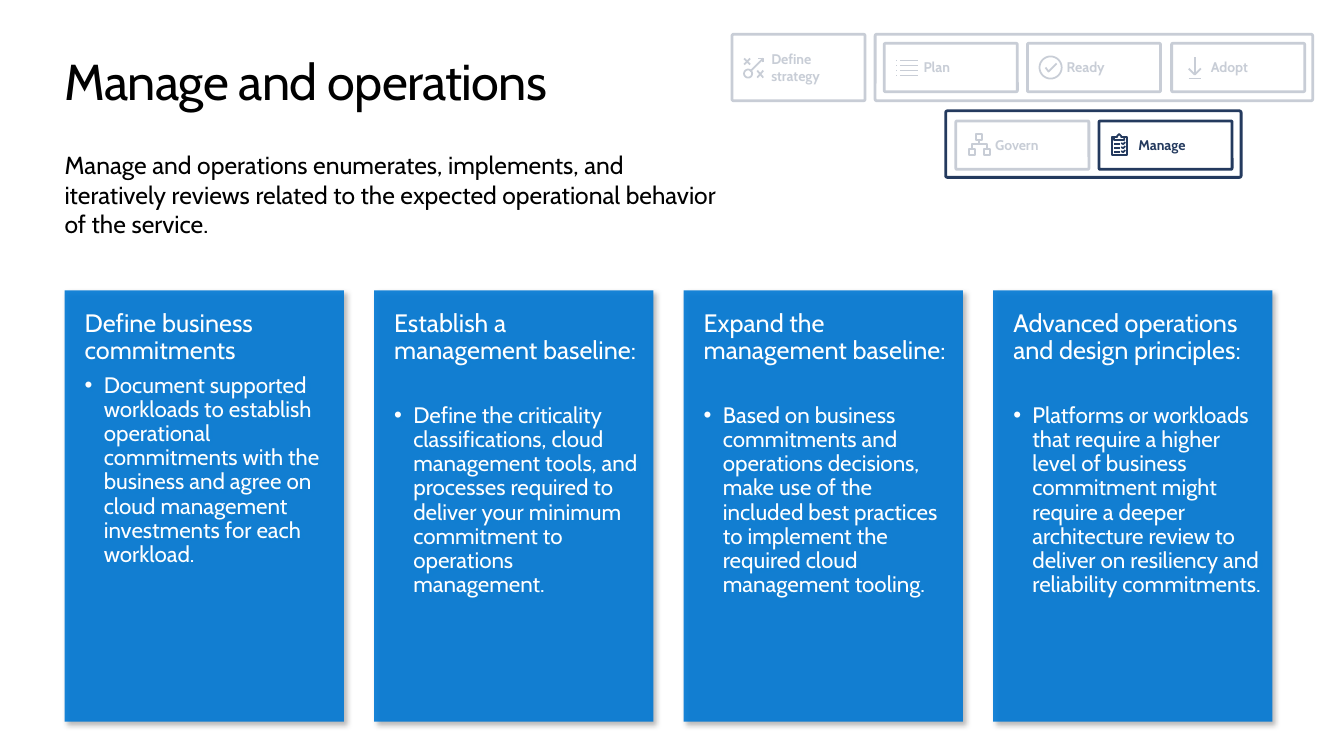
from dataclasses import dataclass
from math import cos, pi, sin
from lxml.etree import SubElement
from pptx import Presentation
from pptx.dml.color import RGBColor
from pptx.enum.shapes import MSO_SHAPE
from pptx.enum.text import MSO_ANCHOR
from pptx.oxml.ns import qn
from pptx.util import Pt

SCALE = 9144  # EMU in one px, 100 px to the inch
FACE = "Cabin"
COLORS = {"navy": "243A5E", "blue": "0078D4", "white": "FFFFFF", "black": "000000"}

Point = tuple[float, float]
Stroke = list[Point]


@dataclass
class Box:
    left: int
    top: int
    width: int
    height: int


@dataclass
class Card:
    title: str
    body: str
    gap: float  # points between title and body


@dataclass
class Step:
    label: str
    box: Box
    icon: list[Stroke]
    lines: int = 1


def px(value: float) -> int:
    return round(value * SCALE)


def ring(x: int, y: int, radius: int) -> Stroke:
    turns = [2 * pi * i / 32 for i in range(33)]
    return [(x + radius * cos(t), y + radius * sin(t)) for t in turns]


def place(box: Box) -> list[int]:
    return [px(v) for v in (box.left, box.top, box.width, box.height)]


def color(name: str) -> RGBColor:
    return RGBColor.from_string(COLORS[name])


def add_rect(slide, box: Box, fill: str = "", line: str = "", alpha: int = 100):
    """Draw a square box, or a slightly rounded one when it has a line."""
    kind = MSO_SHAPE.ROUNDED_RECTANGLE if line else MSO_SHAPE.RECTANGLE
    shape = slide.shapes.add_shape(kind, *place(box))
    shape.shadow.inherit = False
    if fill:
        shape.fill.solid()
        shape.fill.fore_color.rgb = color(fill)
        if alpha < 100:
            tint = shape.element.spPr.find(".//" + qn("a:srgbClr"))
            SubElement(tint, qn("a:alpha"), val=str(alpha * 1000))
    else:
        shape.fill.background()
    if line:
        shape.adjustments[0] = 0.025
        shape.line.color.rgb = color(line)
        shape.line.width = Pt(2)
    else:
        shape.line.fill.background()
    return shape


def set_frame(frame, left: int, top: int, right: int, base: int) -> None:
    form = {"margin_left": px(left), "margin_top": px(top), "margin_right": px(right),
            "margin_bottom": px(base), "word_wrap": True, "vertical_anchor": MSO_ANCHOR.TOP}
    for name, value in form.items():
        setattr(frame, name, value)


def write(para, text: str, ink: str, size: float, bold: bool = False):
    run = para.add_run()
    run.text = text
    for name, value in {"name": FACE, "size": Pt(size), "bold": bold}.items():
        setattr(run.font, name, value)
    run.font.color.rgb = color(ink)
    return run


def add_text(slide, box: Box, text: str, ink: str, size: float,
             inset: tuple[int, int, int, int] = (0, 0, 0, 0), bold: bool = False):
    frame = slide.shapes.add_textbox(*place(box)).text_frame
    set_frame(frame, *inset)
    return write(frame.paragraphs[0], text, ink, size, bold)


def add_icon(slide, box: Box, icon: list[Stroke]) -> None:
    paths = [[(px(box.left + x), px(box.top + y)) for x, y in stroke] for stroke in icon]
    pen = slide.shapes.build_freeform(*paths[0][0])
    pen.add_line_segments(paths[0][1:], close=False)
    for path in paths[1:]:
        pen.move_to(*path[0])
        pen.add_line_segments(path[1:], close=False)
    shape = pen.convert_to_shape()
    shape.shadow.inherit = False
    shape.fill.background()
    shape.line.color.rgb = color("navy")
    shape.line.width = Pt(1.25)


def add_step(slide, step: Step) -> None:
    box = step.box
    add_rect(slide, box, "white", "navy")
    high = 17 * step.lines
    area = Box(box.left - 1, box.top + (box.height - high) // 2, box.width + 2, high)
    add_text(slide, area, step.label, "navy", 10, (40, 0, 10, 0), True)
    add_icon(slide, box, step.icon)


def add_card(slide, box: Box, card: Card) -> None:
    shape = add_rect(slide, box, "blue", alpha=90)
    cast = SubElement(shape.element.spPr.find(qn("a:effectLst")), qn("a:outerShdw"),
                      blurRad=str(Pt(4)), dist=str(Pt(3)), dir="2700000",
                      algn="tl", rotWithShape="0")
    shade = SubElement(cast, qn("a:srgbClr"), val=COLORS["black"])
    SubElement(shade, qn("a:alpha"), val="30000")
    frame = shape.text_frame
    set_frame(frame, 20, 20, 10, 0)
    head, body = frame.paragraphs[0], frame.add_paragraph()
    props = body._p.get_or_add_pPr()
    props.set("marL", str(px(19)))
    props.set("indent", str(px(-19)))
    SubElement(props, qn("a:buFont"), typeface="Arial")
    SubElement(props, qn("a:buChar"), char="•")
    for para, text, size, gap in ((head, card.title, 18, card.gap), (body, card.body, 16, 3)):
        for name, value in {"alignment": 1, "line_spacing": 0.9, "space_after": Pt(gap)}.items():
            setattr(para, name, value)
        write(para, text, "white", size)


CROSS = [[(18, 30), (12, 24)], [(18, 24), (12, 30)], [(31, 43), (25, 36)],
         [(31, 36), (25, 43)], ring(16, 39, 4), [(18, 37), (31, 24)],
         [(31, 28), (31, 24), (26, 24)]]
LIST = [[(a, y), (b, y)] for y in range(17, 33, 5) for a, b in ((12, 13), (16, 33))]
CHECK = [ring(23, 24, 11), [(18, 24), (21, 28), (29, 20)]]
ARROW = [[(29, 25), (23, 31), (17, 25)], [(23, 31), (23, 14)], [(17, 35), (29, 35)]]
TREE = [[(x, y), (x + 6, y), (x + 6, y + 6), (x, y + 6), (x, y)]
        for x, y in ((13, 28), (28, 28), (20, 13))]
TREE += [[(23, 19), (23, 23)], [(31, 28), (31, 23), (16, 23), (16, 28)]]
BOARD = [[(18, 16), (18, 15), (20, 13), (22, 15), (22, 16), (25, 16), (25, 19),
          (15, 19), (15, 16), (18, 16)],
         [(15, 16), (13, 16), (13, 34), (28, 34), (28, 16), (25, 16)]]
for row in (23, 27, 31):
    BOARD += [[(15, row), (21, row)], [(22, row - 1), (24, row), (26, row - 2)]]

FRAMES = [Box(868, 34, 434, 66), Box(938, 110, 293, 66)]
STEPS = [
    Step("Define strategy", Box(726, 34, 132, 66), CROSS, 2),
    Step("Plan", Box(877, 43, 132, 48), LIST),
    Step("Ready", Box(1019, 43, 132, 48), CHECK),
    Step("Adopt", Box(1162, 43, 132, 48), ARROW),
    Step("Govern", Box(948, 120, 132, 48), TREE),
    Step("Manage", Box(1090, 120, 132, 48), BOARD),
]
VEILS = [Box(716, 24, 590, 81), Box(945, 115, 138, 58)]
CARDS = [
    Card("Define business commitments",
         "Document supported workloads to establish operational commitments with the "
         "business and agree on cloud management investments for each workload.", 6.5),
    Card("Establish a management baseline:",
         "Define the criticality classifications, cloud management tools, and processes "
         "required to deliver your minimum commitment to operations management.", 28),
    Card("Expand the management baseline:",
         "Based on business commitments and operations decisions, make use of the included "
         "best practices to implement the required cloud management tooling.", 28),
    Card("Advanced operations and design principles:",
         "Platforms or workloads that require a higher level of business commitment might "
         "require a deeper architecture review to deliver on resiliency and reliability "
         "commitments.", 28),
]


def main() -> None:
    deck = Presentation()
    deck.slide_width, deck.slide_height = px(1333), px(750)
    slide = deck.slides.add_slide(deck.slide_layouts[6])
    title = add_text(slide, Box(64, 50, 1205, 61), "Manage and operations", "black", 36)
    title.font._element.set("spc", "-50")
    add_text(slide, Box(64, 144, 667, 99),
             "Manage and operations enumerates, implements, and iteratively reviews related "
             "to the expected operational behavior of the service.", "black", 17.6, (0, 5, 10, 5))
    for box in FRAMES:
        add_rect(slide, box, line="navy")
    for step in STEPS:
        add_step(slide, step)
    for box in VEILS:
        add_rect(slide, box, "white", alpha=75)
    for i, card in enumerate(CARDS):
        add_card(slide, Box(64 + 307 * i, 288, 277, 428), card)
    deck.save("out.pptx")


if __name__ == "__main__":
    main()
